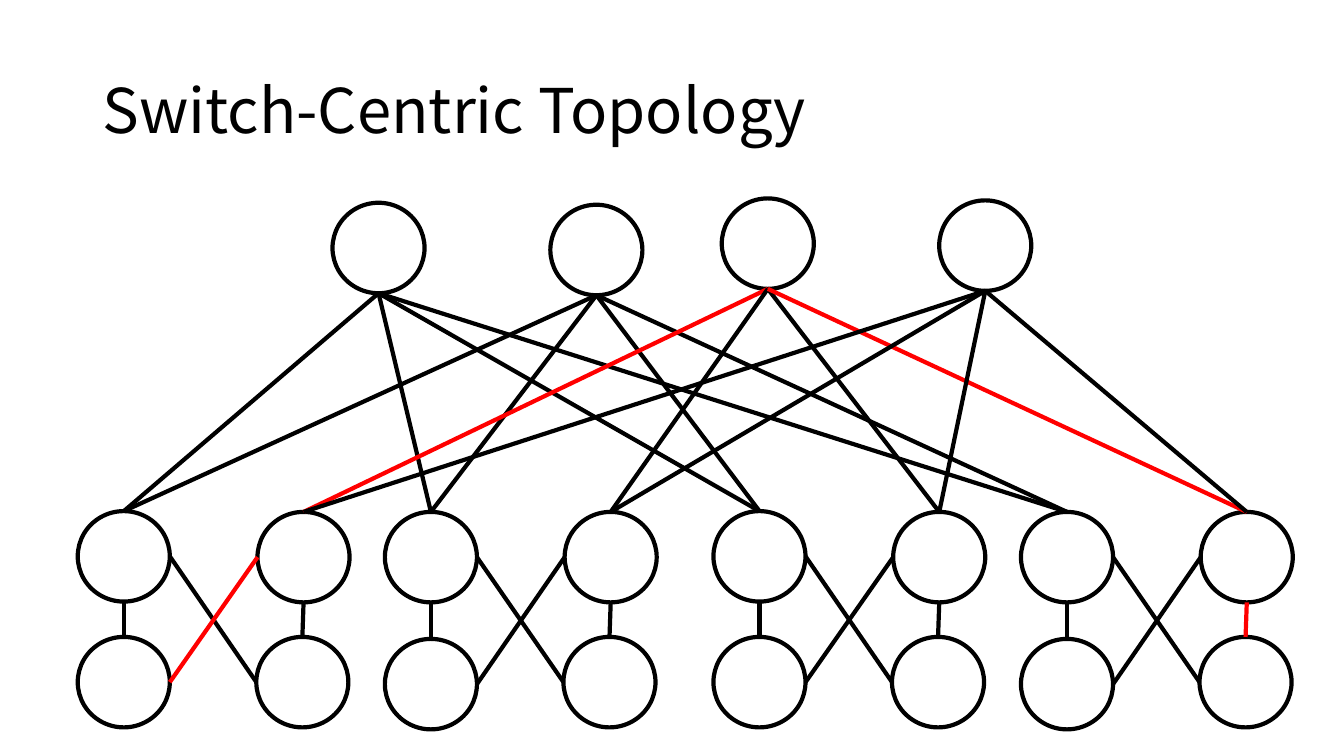
from lxml import etree
from pptx import Presentation
from pptx.dml.color import RGBColor
from pptx.enum.shapes import MSO_CONNECTOR, MSO_SHAPE
from pptx.enum.text import MSO_ANCHOR
from pptx.oxml.ns import qn
from pptx.util import Cm, Pt

OVAL = MSO_SHAPE.OVAL
STRAIGHT = MSO_CONNECTOR.STRAIGHT
MIDDLE = MSO_ANCHOR.MIDDLE

COLORS = {"ink": "000000", "paper": "FFFFFF", "route": "FF0000"}
FONT = "Noto Sans CJK SC"
WIDE, HIGH = 2.32, 2.28
CORES = [(8.38, 5.11), (13.87, 5.16), (18.19, 5.0), (23.67, 5.05)]
PODS = [(1.96, 12.88, 16.05), (9.7, 12.9, 16.1),
        (17.98, 12.88, 16.05), (25.73, 12.9, 16.1)]
RIGHT_TOP, RIGHT_LOW = 12.9, 16.05


def color(name):
    return RGBColor.from_string(COLORS[name])


def add_title(slide, text):
    box = slide.shapes.add_textbox(Cm(2.33), Cm(1.01), Cm(29.21), Cm(3.68))
    frame = box.text_frame
    frame.word_wrap = True
    frame.vertical_anchor = MIDDLE
    para = frame.paragraphs[0]
    para.line_spacing = 0.9
    run = para.add_run()
    run.text = text
    run.font.name = FONT
    run.font.size = Pt(44)
    run.font.color.rgb = color("ink")
    props = run.font._element
    etree.SubElement(props, qn("a:ea")).set("typeface", FONT)


def add_node(slide, left, top):
    node = slide.shapes.add_shape(OVAL, Cm(left), Cm(top), Cm(WIDE), Cm(HIGH))
    node.shadow.inherit = False
    node.fill.solid()
    node.fill.fore_color.rgb = color("paper")
    node.line.color.rgb = color("ink")
    node.line.width = Pt(3)
    return node


def point(node, side):
    x, y = {"top": (1, 0), "left": (0, 1),
            "bottom": (1, 2), "right": (2, 1)}[side]
    return node.left + node.width * x // 2, node.top + node.height * y // 2


def add_link(slide, start, end, red=False):
    link = slide.shapes.add_connector(STRAIGHT, *start, *end)
    link.line.color.rgb = color("route" if red else "ink")
    link.line.width = Pt(3)
    etree.SubElement(link._element.spPr, qn("a:effectLst"))


def add_pod(slide, index, left, top, low):
    upper = [add_node(slide, left, top),
             add_node(slide, left + 4.53, RIGHT_TOP)]
    lower = [add_node(slide, left, low),
             add_node(slide, left + 4.5, RIGHT_LOW)]
    for side in (0, 1):
        add_link(slide, point(lower[side], "top"),
                 point(upper[side], "bottom"), (index, side) == (3, 1))
    add_link(slide, point(lower[1], "left"), point(upper[0], "right"))
    add_link(slide, point(lower[0], "right"), point(upper[1], "left"),
             index == 0)
    return upper


def main():
    deck = Presentation()
    deck.slide_width, deck.slide_height = Cm(33.87), Cm(19.05)
    slide = deck.slides.add_slide(deck.slide_layouts[6])
    add_title(slide, "Switch-Centric Topology")
    cores = [add_node(slide, *spot) for spot in CORES]
    pods = [add_pod(slide, i, *spot) for i, spot in enumerate(PODS)]
    for c, core in enumerate(cores):
        for p, upper in enumerate(pods):
            add_link(slide, point(upper[c // 2], "top"),
                     point(core, "bottom"), c == 2 and p in (0, 3))
    deck.save("out.pptx")


if __name__ == "__main__":
    main()
